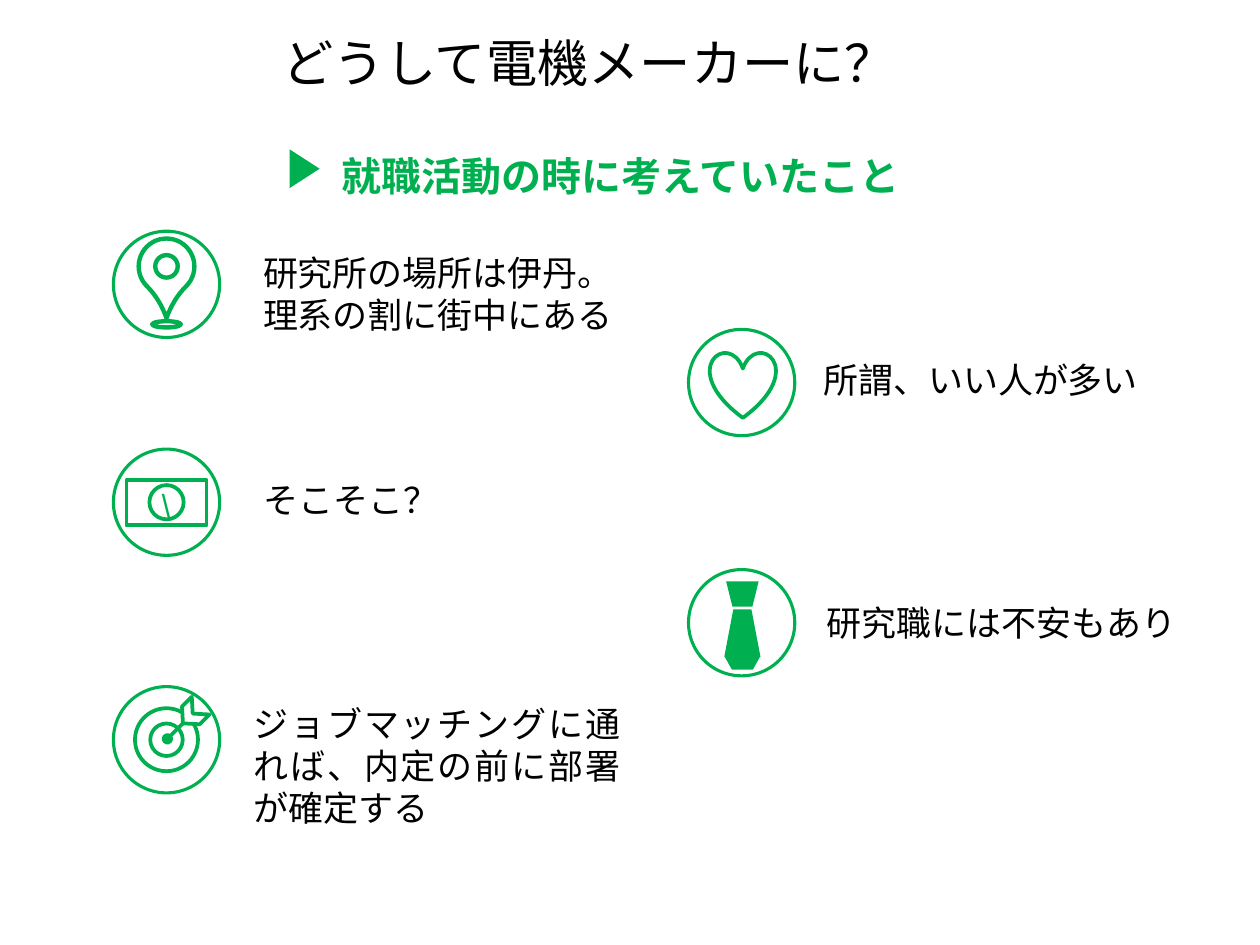
"""Build the slide on why the speaker chose an electronics maker."""
from dataclasses import dataclass

from lxml.etree import SubElement
from pptx import Presentation
from pptx.dml.color import RGBColor
from pptx.enum.shapes import MSO_CONNECTOR, MSO_SHAPE
from pptx.enum.text import MSO_AUTO_SIZE, PP_ALIGN
from pptx.oxml.ns import qn
from pptx.util import Pt


@dataclass(frozen=True)
class Theme:
    green: RGBColor = RGBColor(0x00, 0xB0, 0x50)
    black: RGBColor = RGBColor(0, 0, 0)
    white: RGBColor = RGBColor(0xFF, 0xFF, 0xFF)
    font: str = "Noto Sans CJK JP"
    title: float = 41
    subtitle: float = 32
    body: float = 28
    yen: float = 20
    ring: float = 2.5
    stroke: float = 3
    heavy: float = 3.5


class Canvas:
    def __init__(self, slide, theme):
        self.slide, self.theme = slide, theme
        self.shapes = slide.shapes

    def text(self, words, box, size, color, align=PP_ALIGN.LEFT, bold=False, wrap=False):
        frame = self.shapes.add_textbox(*map(Pt, box)).text_frame
        frame.word_wrap = wrap
        frame.auto_size = MSO_AUTO_SIZE.SHAPE_TO_FIT_TEXT
        paragraph = frame.paragraphs[0]
        paragraph.text, paragraph.alignment = words, align
        font = paragraph.font
        font.name, font.size, font.bold = self.theme.font, Pt(size), bold
        font.color.rgb = color
        latin = paragraph._p.find(".//" + qn("a:latin"))
        east_asian = SubElement(latin.getparent(), qn("a:ea"), typeface=self.theme.font)
        latin.addnext(east_asian)

    def shape(self, kind, x, y, width, height, fill=None, stroke=None, rotation=0, adjust=None):
        shape = self.shapes.add_shape(
            kind, Pt(x - width / 2), Pt(y - height / 2), Pt(width), Pt(height))
        shape.shadow.inherit = False
        shape.rotation = rotation
        if adjust is not None:
            shape.adjustments[0] = adjust
        if fill is None:
            shape.fill.background()
        else:
            shape.fill.solid()
            shape.fill.fore_color.rgb = fill
        if stroke is None:
            shape.line.fill.background()
        else:
            shape.line.color.rgb, shape.line.width = self.theme.green, Pt(stroke)

    def circle(self, x, y, diameter, stroke):
        self.shape(MSO_SHAPE.OVAL, x, y, diameter, diameter, stroke=stroke)

    def dotted_end_line(self, start, end):
        line = self.shapes.add_connector(MSO_CONNECTOR.STRAIGHT, *map(Pt, start + end))
        line.line.color.rgb, line.line.width = self.theme.green, Pt(self.theme.stroke)
        SubElement(line.line._get_or_add_ln(), qn("a:tailEnd"), type="oval")
        SubElement(line._element.spPr, qn("a:effectLst"))

    def badge(self, draw_icon, x, y):
        self.shapes = self.slide.shapes.add_group_shape().shapes
        draw_icon(self, x, y)
        self.circle(x, y, 85, self.theme.ring)
        self.shapes = self.slide.shapes


def draw_pin(canvas, x, y):
    heavy = canvas.theme.heavy
    canvas.shape(MSO_SHAPE.TEAR, x, y - 14.4, 44.6, 44.6,
                 stroke=heavy, rotation=135, adjust=1.312)
    canvas.circle(x, y - 14.4, 18, heavy)
    canvas.shape(MSO_SHAPE.OVAL, x, y + 32, 23, 5, stroke=heavy)


def draw_banknote(canvas, x, y):
    theme = canvas.theme
    canvas.shape(MSO_SHAPE.RECTANGLE, x, y + 0.5, 64, 36, stroke=theme.stroke)
    canvas.text("\\", (x - 16, y - 14, 32, 36), theme.yen, theme.green, PP_ALIGN.CENTER, bold=True)
    canvas.circle(x, y, 27.4, theme.stroke)


def draw_heart(canvas, x, y):
    canvas.shape(MSO_SHAPE.HEART, x + 1, y + 2, 52.6, 52.6, stroke=canvas.theme.stroke)


def draw_necktie(canvas, x, y):
    for dy, width, height, rotation, adjust in (
            (-23, 26, 20, 180, 0.25), (8.3, 29, 38, 0, 0.25), (32.4, 28, 10, 180, 0.556)):
        canvas.shape(MSO_SHAPE.TRAPEZOID, x + 0.6, y + dy, width, height,
                     fill=canvas.theme.green, rotation=rotation, adjust=adjust)


def draw_target(canvas, x, y):
    theme = canvas.theme
    for diameter in (50.4, 26):
        canvas.circle(x, y, diameter, theme.stroke)
    canvas.shape(MSO_SHAPE.CHEVRON, x + 20.2, y - 20.2, 20, 20, fill=theme.white,
                 stroke=theme.stroke, rotation=135, adjust=0.448)
    canvas.dotted_end_line((x + 13, y - 13), (x + 0.7, y - 0.7))


LEFT, RIGHT = 133.2, 593.3
CENTER, JUSTIFY = PP_ALIGN.CENTER, PP_ALIGN.JUSTIFY
REASONS = (
    (draw_pin, LEFT, 227.5, "研究所の場所は伊丹。理系の割に街中にある", (196.5, 198, 307.5, 75), CENTER),
    (draw_banknote, LEFT, 401.8, "そこそこ？", (202.3, 379.4, 157, 41), CENTER),
    (draw_heart, RIGHT, 306, "所謂、いい人が多い", (651.6, 283, 307.5, 41), JUSTIFY),
    (draw_necktie, RIGHT, 498.2, "研究職には不安もあり", (647.3, 477.4, 307.5, 41), CENTER),
    (draw_target, LEFT, 591.8, "ジョブマッチングに通れば、内定の前に部署が確定する",
     (195.8, 558.7, 307.5, 109), JUSTIFY),
)


def main():
    deck = Presentation()
    deck.slide_width, deck.slide_height = Pt(1008), Pt(756)
    theme = Theme()
    canvas = Canvas(deck.slides.add_slide(deck.slide_layouts[6]), theme)
    canvas.text("どうして電機メーカーに？", (219, 21.6, 510.5, 57), theme.title, theme.black)
    canvas.text("就職活動の時に考えていたこと", (263.5, 118, 466.5, 46),
                theme.subtitle, theme.green, CENTER, bold=True)
    for draw_icon, x, y, reason, box, align in REASONS:
        canvas.badge(draw_icon, x, y)
        canvas.text(reason, box, theme.body, theme.black, align, wrap=True)
    canvas.shape(MSO_SHAPE.ISOSCELES_TRIANGLE, 243.7, 135, 31, 24, fill=theme.green, rotation=90)
    deck.save("out.pptx")


if __name__ == "__main__":
    main()
